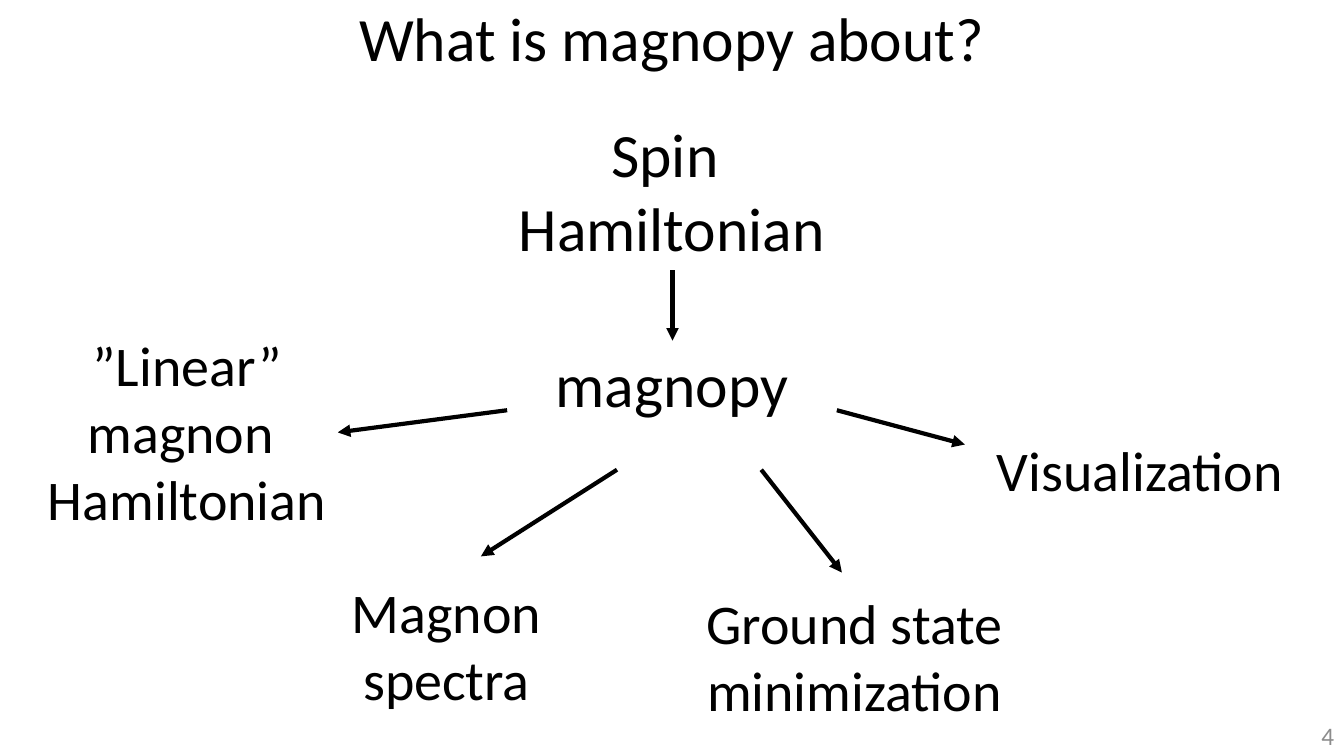
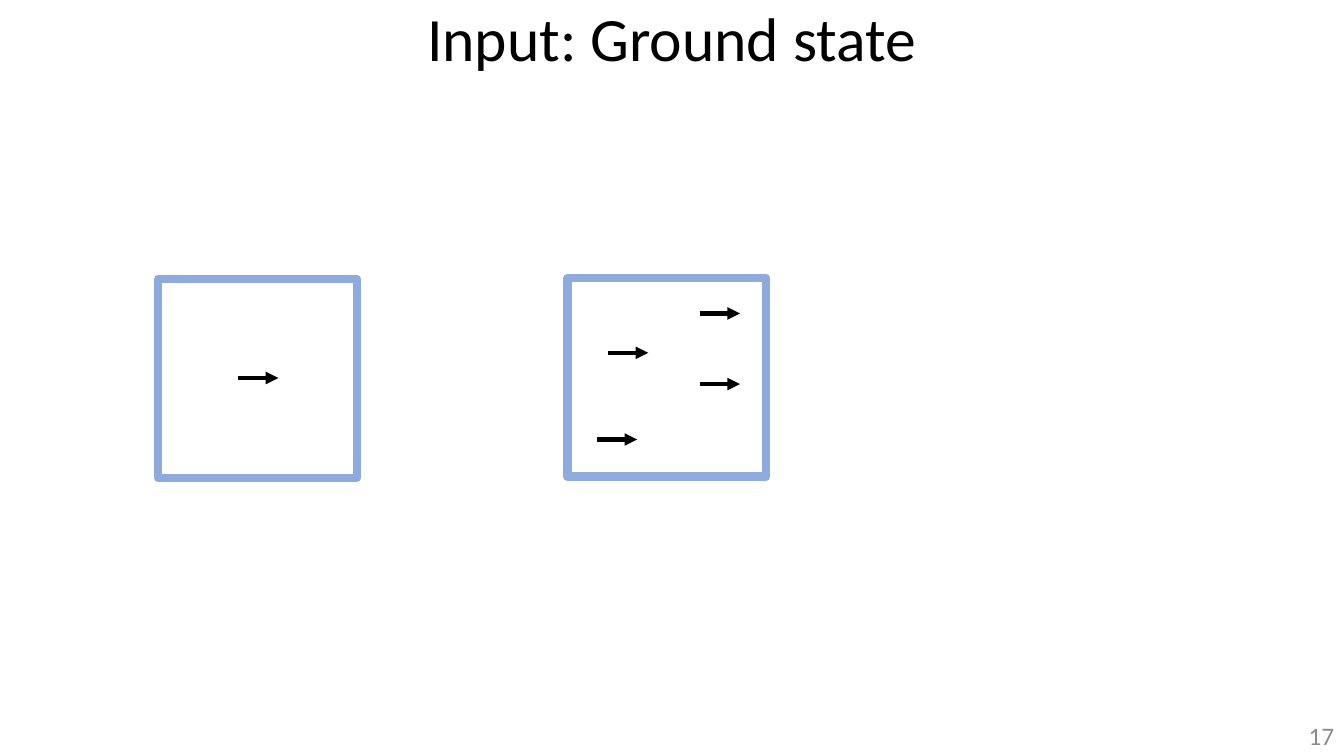
from dataclasses import dataclass

from lxml import etree
from pptx import Presentation
from pptx.dml.color import RGBColor
from pptx.enum import shapes, text
from pptx.oxml import ns
from pptx.util import Inches, Pt


@dataclass(frozen=True)
class Theme:
    font: str = "Calibri"
    ink: RGBColor = RGBColor(0x00, 0x00, 0x00)
    muted: RGBColor = RGBColor(0x8C, 0x8C, 0x8C)
    cell_edge: RGBColor = RGBColor(0x8F, 0xAA, 0xDC)
    title_size: int = 44
    label_size: int = 40
    number_size: int = 18
    arrow_width: int = 3
    cell_edge_width: int = 6


THEME = Theme()
PAGE_WIDTH, PAGE_HEIGHT = 13.33, 7.5
CELL_SIZE = 1.97
SPIN_LENGTH = 0.4

# Labels of the overview: text, left, top, width, height, type size
LABELS = [
    ("magnopy", 5.4, 3.38, 2.53, 0.79, THEME.title_size),
    ("Spin \nHamiltonian", 5.03, 1.1, 3.27, 1.58, THEME.title_size),
    ("Visualization", 9.77, 4.27, 3.07, 0.77, THEME.label_size),
    ("Ground state\nminimization", 6.89, 5.79, 3.17, 1.45, THEME.label_size),
    ("Magnon\nspectra", 3.38, 5.68, 2.1, 1.45, THEME.label_size),
    ("”Linear”\nmagnon \nHamiltonian", 0.36, 3.23, 2.99, 2.12, THEME.label_size),
]

# Arrows of the overview: start and end points
FLOW_ARROWS = [
    ((6.67, 2.68), (6.67, 3.38)),
    ((5.03, 4.07), (3.35, 4.29)),
    ((7.55, 4.66), (8.35, 5.68)),
    ((6.12, 4.66), (4.77, 5.52)),
    ((8.3, 4.07), (9.57, 4.41)),
]

# Unit cells: left, top, and spin positions measured from the cell corner
UNIT_CELLS = [
    (1.57, 2.77, [(0.79, 0.98)]),
    (5.63, 2.76, [(1.31, 0.35), (0.29, 1.6), (1.31, 1.05), (0.4, 0.74)]),
]


def write_text(box, content, size, color, align, line_spacing=None):
    frame = box.text_frame
    frame.text = content
    for para in frame.paragraphs:
        para.alignment = align
        para.line_spacing = line_spacing
        for span in para.runs:
            span.font.name = THEME.font
            span.font.size = Pt(size)
            span.font.color.rgb = color


def add_page(deck, title, number):
    """Add a slide with its title and page number."""
    page = deck.slides.add_slide(deck.slide_layouts[5])
    heading = page.shapes.title
    heading.left, heading.top = Inches(0), Inches(0)
    heading.width, heading.height = Inches(PAGE_WIDTH), Inches(0.79)
    heading.text_frame.auto_size = text.MSO_AUTO_SIZE.NONE
    heading.text_frame.vertical_anchor = text.MSO_ANCHOR.BOTTOM
    write_text(heading, title, THEME.title_size, THEME.ink,
               text.PP_ALIGN.CENTER, line_spacing=0.9)

    box = page.shapes.add_textbox(
        Inches(PAGE_WIDTH - 3), Inches(PAGE_HEIGHT - 0.4), Inches(3), Inches(0.4))
    box.text_frame.word_wrap = True
    box.text_frame.vertical_anchor = text.MSO_ANCHOR.MIDDLE
    write_text(box, number, THEME.number_size, THEME.muted, text.PP_ALIGN.RIGHT)
    return page


def add_label(page, content, left, top, width, height, size):
    box = page.shapes.add_textbox(
        Inches(left), Inches(top), Inches(width), Inches(height))
    box.text_frame.word_wrap = False
    box.text_frame.auto_size = text.MSO_AUTO_SIZE.SHAPE_TO_FIT_TEXT
    write_text(box, content, size, THEME.ink, text.PP_ALIGN.CENTER)


def add_arrow(parent, start, end):
    arrow = parent.shapes.add_connector(
        shapes.MSO_CONNECTOR.STRAIGHT, *map(Inches, start + end))
    arrow.line.color.rgb = THEME.ink
    arrow.line.width = Pt(THEME.arrow_width)
    outline = arrow.line._get_or_add_ln()
    etree.SubElement(outline, ns.qn("a:tailEnd"), type="triangle")
    etree.SubElement(arrow._element.spPr, ns.qn("a:effectLst"))


def add_unit_cell(page, left, top, spins):
    """Add a square cell grouped with the spins inside it."""
    group = page.shapes.add_group_shape()
    cell = group.shapes.add_shape(
        shapes.MSO_SHAPE.RECTANGLE, Inches(left), Inches(top),
        Inches(CELL_SIZE), Inches(CELL_SIZE))
    cell.shadow.inherit = False
    cell.fill.background()
    cell.line.color.rgb = THEME.cell_edge
    cell.line.width = Pt(THEME.cell_edge_width)
    for across, down in spins:
        x, y = left + across, top + down
        add_arrow(group, (x, y), (x + SPIN_LENGTH, y))


def main():
    deck = Presentation()
    deck.slide_width = Inches(PAGE_WIDTH)
    deck.slide_height = Inches(PAGE_HEIGHT)

    # Overview of inputs and results
    overview = add_page(deck, "What is magnopy about?", "4")
    for label in LABELS:
        add_label(overview, *label)
    for start, end in FLOW_ARROWS:
        add_arrow(overview, start, end)

    # Ground states with one and several spins per cell
    ground_state = add_page(deck, "Input: Ground state", "17")
    for unit_cell in UNIT_CELLS:
        add_unit_cell(ground_state, *unit_cell)

    deck.save("out.pptx")


if __name__ == "__main__":
    main()
